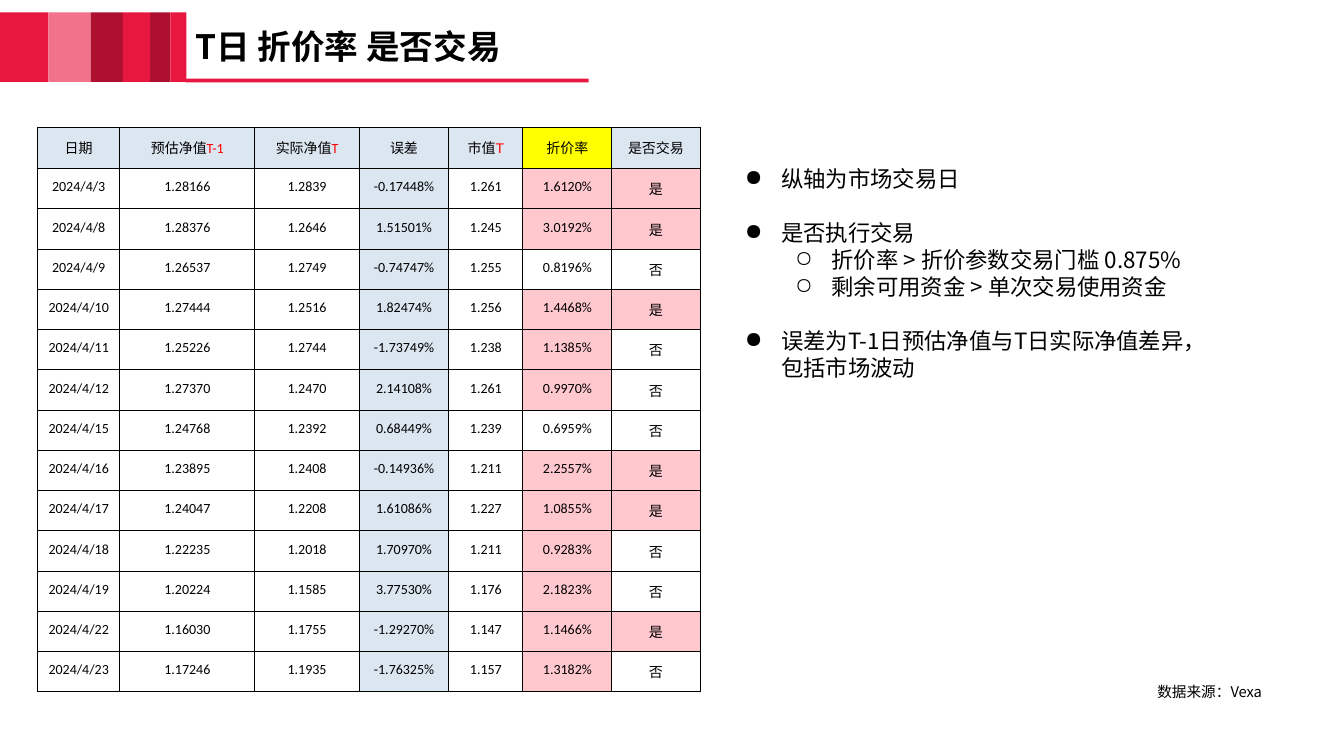
from dataclasses import dataclass

from lxml import etree
from pptx import Presentation
from pptx.dml.color import RGBColor
from pptx.enum import shapes, text
from pptx.oxml import ns
from pptx.util import Pt

CJK = "Noto Sans CJK SC"
RED, ROSE, WINE = "E8173F", "F1728A", "AE112F"
BLACK, ALERT = "000000", "FF0000"
PALE_BLUE, YELLOW, PINK = "DCE6F1", "FFFF00", "FFC7CE"
THRESHOLD = 0.875


@dataclass
class Piece:
    words: str
    font: str = "Calibri"
    color: str = BLACK
    size: float = 10
    bold: bool = False


@dataclass
class Band:
    width: float
    color: str


@dataclass
class Column:
    width: float
    heading: list[Piece]
    heading_fill: str = PALE_BLUE


@dataclass
class Note:
    words: str
    level: int = 0
    gap: float = 0


BANDS = [Band(34.6, RED), Band(30.2, ROSE), Band(23, WINE),
         Band(19.5, RED), Band(14.4, WINE), Band(11.5, RED)]

COLUMNS = [
    Column(58.8, [Piece("日期", "Arial")]),
    Column(96.5, [Piece("预估净值", "Arial"), Piece("T-1", color=ALERT)]),
    Column(74.5, [Piece("实际净值", "Arial"), Piece("T", color=ALERT)]),
    Column(64, [Piece("误差", "Arial")]),
    Column(53, [Piece("市值", "Arial"), Piece("T", "Arial", ALERT)]),
    Column(63.5, [Piece("折价率", "Arial")], YELLOW),
    Column(63, [Piece("是否交易", "Arial")]),
]

TRADING_DAYS = [
    ("2024/4/3", "1.28166", "1.2839", "-0.17448%", "1.261", "1.6120%", "是"),
    ("2024/4/8", "1.28376", "1.2646", "1.51501%", "1.245", "3.0192%", "是"),
    ("2024/4/9", "1.26537", "1.2749", "-0.74747%", "1.255", "0.8196%", "否"),
    ("2024/4/10", "1.27444", "1.2516", "1.82474%", "1.256", "1.4468%", "是"),
    ("2024/4/11", "1.25226", "1.2744", "-1.73749%", "1.238", "1.1385%", "否"),
    ("2024/4/12", "1.27370", "1.2470", "2.14108%", "1.261", "0.9970%", "否"),
    ("2024/4/15", "1.24768", "1.2392", "0.68449%", "1.239", "0.6959%", "否"),
    ("2024/4/16", "1.23895", "1.2408", "-0.14936%", "1.211", "2.2557%", "是"),
    ("2024/4/17", "1.24047", "1.2208", "1.61086%", "1.227", "1.0855%", "是"),
    ("2024/4/18", "1.22235", "1.2018", "1.70970%", "1.211", "0.9283%", "否"),
    ("2024/4/19", "1.20224", "1.1585", "3.77530%", "1.176", "2.1823%", "否"),
    ("2024/4/22", "1.16030", "1.1755", "-1.29270%", "1.147", "1.1466%", "是"),
    ("2024/4/23", "1.17246", "1.1935", "-1.76325%", "1.157", "1.3182%", "否"),
]

NOTE_LINE = 19.3
NOTES = [
    Note("纵轴为市场交易日"),
    Note("是否执行交易", gap=NOTE_LINE),
    Note("折价率 > 折价参数交易门槛 0.875%", level=1),
    Note("剩余可用资金 > 单次交易使用资金", level=1),
    Note("误差为T-1日预估净值与T日实际净值差异，包括市场波动", gap=NOTE_LINE),
]


def rgb(color: str) -> RGBColor:
    return RGBColor.from_string(color)


def add_piece(paragraph, piece: Piece) -> None:
    run = paragraph.add_run()
    run.text = piece.words
    run.font.size = Pt(piece.size)
    run.font.bold = piece.bold
    run.font.name = piece.font
    run.font.color.rgb = rgb(piece.color)
    east_asian = etree.SubElement(run.font._element, ns.qn("a:ea"))
    east_asian.set("typeface", CJK)


def add_bar(slide, left: float, top: float, width: float, height: float, color: str) -> None:
    bar = slide.shapes.add_shape(shapes.MSO_SHAPE.RECTANGLE,
                                 Pt(left), Pt(top), Pt(width), Pt(height))
    bar.shadow.inherit = False
    bar.fill.solid()
    bar.fill.fore_color.rgb = rgb(color)
    bar.line.fill.background()


def add_frame(slide, left: float, top: float, width: float, height: float):
    frame = slide.shapes.add_textbox(Pt(left), Pt(top), Pt(width), Pt(height)).text_frame
    frame.word_wrap = True
    frame.margin_left = frame.margin_top = frame.margin_right = frame.margin_bottom = 0
    return frame


def add_bullet(paragraph, level: int) -> None:
    properties = paragraph._p.get_or_add_pPr()
    properties.set("marL", str(Pt(36 * (level + 1))))
    properties.set("indent", str(Pt(-26)))
    bullet_color = etree.SubElement(properties, ns.qn("a:buClr"))
    etree.SubElement(bullet_color, ns.qn("a:srgbClr")).set("val", BLACK)
    etree.SubElement(properties, ns.qn("a:buChar")).set("char", "●○"[level])


def add_borders(cell) -> None:
    properties = cell._tc.get_or_add_tcPr()
    for place, side in enumerate(("lnL", "lnR", "lnT", "lnB")):
        border = etree.Element(ns.qn(f"a:{side}"), w=str(Pt(0.75)))
        fill = etree.SubElement(border, ns.qn("a:solidFill"))
        etree.SubElement(fill, ns.qn("a:srgbClr")).set("val", BLACK)
        properties.insert(place, border)


def fill_cell(cell, pieces: list[Piece], color: str | None) -> None:
    cell.margin_left = cell.margin_right = Pt(5)
    cell.margin_top = cell.margin_bottom = Pt(7.2)
    paragraph = cell.text_frame.paragraphs[0]
    paragraph.alignment = text.PP_ALIGN.CENTER
    for piece in pieces:
        add_piece(paragraph, piece)
    if color:
        cell.fill.solid()
        cell.fill.fore_color.rgb = rgb(color)
    else:
        cell.fill.background()
    add_borders(cell)


def day_fills(day: tuple[str, ...]) -> list[str | None]:
    discount = PINK if float(day[5].rstrip("%")) > THRESHOLD else None
    traded = PINK if day[6] == "是" else None
    return [None, None, None, PALE_BLUE, None, discount, traded]


def add_trading_table(slide) -> None:
    heading_height, day_height = 29.3, 28.76
    trading = slide.shapes.add_table(
        len(TRADING_DAYS) + 1, len(COLUMNS), Pt(26.8), Pt(91.2),
        Pt(sum(column.width for column in COLUMNS)),
        Pt(heading_height + day_height * len(TRADING_DAYS))).table
    trading.first_row = trading.horz_banding = False
    for index, column in enumerate(COLUMNS):
        trading.columns[index].width = Pt(column.width)
        fill_cell(trading.cell(0, index), column.heading, column.heading_fill)
    trading.rows[0].height = Pt(heading_height)
    for row, day in enumerate(TRADING_DAYS, start=1):
        trading.rows[row].height = Pt(day_height)
        for index, (value, color) in enumerate(zip(day, day_fills(day))):
            fill_cell(trading.cell(row, index), [Piece(value)], color)


def main() -> None:
    deck = Presentation()
    deck.slide_width, deck.slide_height = Pt(960), Pt(540)
    slide = deck.slides.add_slide(deck.slide_layouts[6])

    # Header bands and rule
    left = 0.0
    for band in BANDS:
        add_bar(slide, left, 8.9, band.width, 49.7, band.color)
        left += band.width
    add_bar(slide, 132.5, 56.2, 288, 2.7, RED)

    # Title
    title = add_frame(slide, 139.7, 22.3, 350, 24.5)
    title.vertical_anchor = text.MSO_ANCHOR.MIDDLE
    title.paragraphs[0].line_spacing = 0.9
    add_piece(title.paragraphs[0], Piece("T日 折价率 是否交易", CJK, size=24, bold=True))

    # Trading table
    add_trading_table(slide)

    # Notes beside the table
    notes = add_frame(slide, 522, 118, 350, 154.8)
    for index, note in enumerate(NOTES):
        paragraph = notes.add_paragraph() if index else notes.paragraphs[0]
        paragraph.level = note.level
        add_bullet(paragraph, note.level)
        paragraph.line_spacing = Pt(NOTE_LINE)
        if note.gap:
            paragraph.space_before = Pt(note.gap)
        add_piece(paragraph, Piece(note.words, CJK, size=16))

    # Data credit
    credit = add_frame(slide, 702.7, 487.4, 198.7, 13).paragraphs[0]
    credit.alignment = text.PP_ALIGN.RIGHT
    credit.line_spacing = Pt(13)
    add_piece(credit, Piece("数据来源：Vexa", CJK, size=10.5))

    deck.save("out.pptx")


if __name__ == "__main__":
    main()
